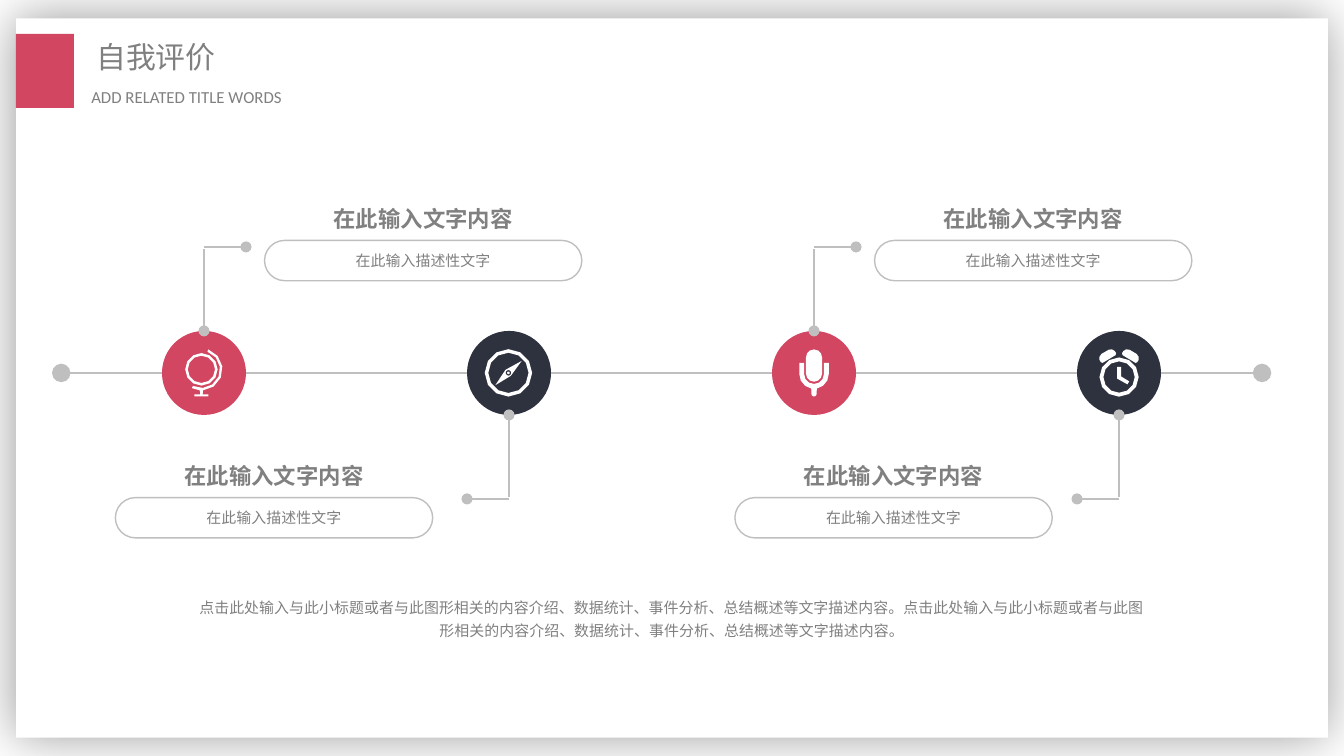
from dataclasses import dataclass
from math import cos, radians, sin

from lxml.etree import SubElement
from pptx import Presentation
from pptx.dml.color import RGBColor
from pptx.enum.shapes import MSO_CONNECTOR, MSO_SHAPE
from pptx.enum.text import MSO_ANCHOR, MSO_AUTO_SIZE, PP_ALIGN
from pptx.oxml.ns import qn
from pptx.util import Pt

RED, NAVY, GRAY, RULE, WHITE = "D24661", "2E323E", "808080", "BFBFBF", "FFFFFF"
CJK = "Noto Sans CJK SC"
RADIUS, AXIS_Y, FIRST_X, STEP = 22.5, 199.8, 109.3, 163.4
LABEL_WIDTH = 170
HEADING, DETAIL = "在此输入文字内容", "在此输入描述性文字"
SUMMARY = "点击此处输入与此小标题或者与此图形相关的内容介绍、数据统计、事件分析、总结概述等文字描述内容。"

Contour = list[tuple[float, float]]


@dataclass
class Milestone:
    """One stop on the axis; side is -1 above the axis and 1 below it."""
    x: float
    color: str
    side: int
    label_left: float
    icon: list[Contour]


def arc(x: float, y: float, r: float, start: float, end: float) -> Contour:
    """Sample an arc in steps of about 30 degrees, clockwise from the right."""
    steps = max(1, round(abs(end - start) / 30))
    angles = [radians(start + (end - start) * i / steps) for i in range(steps + 1)]
    return [(x + r * cos(a), y + r * sin(a)) for a in angles]


def circle(x: float, y: float, r: float, turn: int = 1) -> Contour:
    """Outline a circle; turn -1 winds it the other way, for a hole."""
    return arc(x, y, r, 0, turn * 360)[:-1]


def ring(x: float, y: float, outer: float, inner: float) -> list[Contour]:
    """Outline a ring."""
    return [circle(x, y, outer), circle(x, y, inner, -1)]


def globe() -> list[Contour]:
    """Outline a desk globe."""
    x, y = -1.4, -1.9
    stand = [(-0.7, 11.5), (2.4, 11.5), (2.4, 12.6), (-5.2, 12.6), (-5.2, 11.5), (-2.1, 11.5)]
    frame = arc(x, y, 11.3, -71, 86) + stand + arc(x, y, 11.3, 94, 117) + arc(x, y, 10, 117, -71)
    return ring(x, y, 8.7, 7.3) + [frame]


def compass() -> list[Contour]:
    """Outline a compass with its needle."""
    x = -0.3
    needle = [(6.8, -6.4), (1, 1.6), (-7.3, 6.6), (-1.9, -1.6)]
    return ring(x, 0, 12.7, 10.8) + [needle, circle(x, 0, 1.5, -1), circle(x, 0, 0.7)]


def microphone() -> list[Contour]:
    """Outline a microphone in its holder."""
    capsule = arc(0, -8.3, 4.3, 180, 360) + arc(0, 0.4, 4.3, 0, 180)
    holder = ([(-7.9, -5.4), (-5.3, -5.4)] + arc(0, 0.6, 5.3, 180, 0)
              + [(5.3, -5.4), (7.9, -5.4)] + arc(0, 0.6, 7.9, 0, 79)
              + arc(0, 11.2, 1.4, 0, 180) + arc(0, 0.6, 7.9, 101, 180))
    return [holder, capsule]


def alarm_clock() -> list[Contour]:
    """Outline an alarm clock with hands and two bells."""
    hands = [(-1.1, -3.2), (1.1, -3.2), (1.1, 1.9), (5.4, 4.5), (4.5, 6.1), (-1.1, 3)]
    bell = [(1.6, -10.6), (2.3, -11.7), (3.7, -12.6), (5.4, -12.5), (9.4, -10.2),
            (10.5, -8.6), (10.5, -7), (9.7, -5.7), (8.8, -5.4), (1.9, -9.5)]
    return ring(0, 2.2, 10.5, 8.4) + [hands, bell, [(-x, y) for x, y in bell]]


def rgb(color: str) -> RGBColor:
    """Turn a hex string into a colour."""
    return RGBColor.from_string(color)


def paint(shape, color: str) -> None:
    """Give a shape a plain fill without outline or shadow."""
    shape.shadow.inherit = False
    shape.fill.solid()
    shape.fill.fore_color.rgb = rgb(color)
    shape.line.fill.background()


def add_block(kind, left: float, top: float, width: float, height: float, color: str):
    """Draw a filled preset shape."""
    block = shapes.add_shape(kind, Pt(left), Pt(top), Pt(width), Pt(height))
    paint(block, color)
    return block


def add_line(x1: float, y1: float, x2: float, y2: float, end: str = "", size: str = "med") -> None:
    """Draw a thin line; end names the tip with a dot, headEnd or tailEnd."""
    line = shapes.add_connector(MSO_CONNECTOR.STRAIGHT, Pt(x1), Pt(y1), Pt(x2), Pt(y2))
    line.line.color.rgb = rgb(RULE)
    line.line.width = Pt(0.75)
    properties = line.line._get_or_add_ln()
    if end:
        SubElement(properties, qn("a:" + end), type="oval", w=size, len=size)
    SubElement(properties.getparent(), qn("a:effectLst"))


def write(shape, text: str, size: float, font: str = CJK, bold: bool = False,
          align=PP_ALIGN.CENTER, spacing: float = 1.0) -> None:
    """Fill a shape with one paragraph of gray text."""
    frame = shape.text_frame
    frame.word_wrap = True
    frame.margin_left = frame.margin_right = Pt(5.4)
    frame.margin_top = frame.margin_bottom = Pt(2.7)
    frame.text = text
    paragraph = frame.paragraphs[0]
    paragraph.alignment = align
    paragraph.line_spacing = spacing
    run = paragraph.runs[0]
    run.font.size, run.font.name, run.font.bold = Pt(size), font, bold
    run.font.color.rgb = rgb(GRAY)
    SubElement(run._r.get_or_add_rPr(), qn("a:ea"), typeface=font)


def add_text(left: float, top: float, width: float, height: float, text: str,
             size: float, **style) -> None:
    """Place a text box that grows with its text."""
    box = shapes.add_textbox(Pt(left), Pt(top), Pt(width), Pt(height))
    write(box, text, size, **style)
    box.text_frame.auto_size = MSO_AUTO_SIZE.SHAPE_TO_FIT_TEXT


def add_icon(x: float, y: float, contours: list[Contour]) -> None:
    """Draw a white icon centred on a point."""
    placed = [[(Pt(x + dx), Pt(y + dy)) for dx, dy in contour] for contour in contours]
    builder = shapes.build_freeform(*placed[0][0])
    for index, contour in enumerate(placed):
        if index:
            builder.move_to(*contour[0])
        builder.add_line_segments(contour[1:], close=True)
    paint(builder.convert_to_shape(), WHITE)


def add_stem(x: float, side: int) -> None:
    """Draw the bent line that leads from a disc to its label."""
    edge, bend = AXIS_Y + side * RADIUS, AXIS_Y + side * 3 * RADIUS
    add_line(x, edge, x, bend - side, "headEnd")
    add_line(x, bend, x - side * RADIUS, bend, "tailEnd")


def add_label(left: float, top: float) -> None:
    """Place a heading above its outlined pill."""
    add_text(left, top, LABEL_WIDTH, 20.2, HEADING, 12, bold=True)
    pill = shapes.add_shape(MSO_SHAPE.ROUNDED_RECTANGLE, Pt(left), Pt(top + 21.6),
                            Pt(LABEL_WIDTH), Pt(21.6))
    pill.adjustments[0] = 0.5
    pill.shadow.inherit = False
    pill.fill.background()
    pill.line.color.rgb = rgb(RULE)
    pill.line.width = Pt(0.75)
    write(pill, DETAIL, 8)
    pill.text_frame.vertical_anchor = MSO_ANCHOR.MIDDLE


deck = Presentation()
deck.slide_width, deck.slide_height = Pt(720), Pt(405)
shapes = deck.slides.add_slide(deck.slide_layouts[6]).shapes

card = add_block(MSO_SHAPE.RECTANGLE, 8.6, 9.8, 702.8, 385.4, WHITE)
glow = SubElement(card._element.spPr.find(qn("a:effectLst")), qn("a:outerShdw"),
                  blurRad=str(Pt(29)), dist="0", dir="0", algn="ctr", rotWithShape="0")
SubElement(SubElement(glow, qn("a:srgbClr"), val="000000"), qn("a:alpha"), val="40000")
add_block(MSO_SHAPE.RECTANGLE, 8.6, 18.2, 31, 39.6, RED)
add_text(46.2, 18, 144.7, 25, "自我评价", 16, align=PP_ALIGN.LEFT)
add_text(43.5, 43.9, 160.6, 16.6, "ADD RELATED TITLE WORDS", 9, font="Calibri",
         align=PP_ALIGN.JUSTIFY)

milestones = [
    Milestone(FIRST_X, RED, -1, 141.7, globe()),
    Milestone(FIRST_X + STEP, NAVY, 1, 61.8, compass()),
    Milestone(FIRST_X + 2 * STEP, RED, -1, 468.5, microphone()),
    Milestone(FIRST_X + 3 * STEP, NAVY, 1, 393.7, alarm_clock()),
]
for stop in milestones:
    add_block(MSO_SHAPE.OVAL, stop.x - RADIUS, AXIS_Y - RADIUS, 2 * RADIUS, 2 * RADIUS, stop.color)
add_line(32.8, AXIS_Y, milestones[0].x - RADIUS, AXIS_Y, "headEnd", "lg")
add_line(milestones[-1].x + RADIUS, AXIS_Y, 676.1, AXIS_Y, "tailEnd", "lg")
for stop, following in zip(milestones, milestones[1:]):
    add_line(stop.x + RADIUS, AXIS_Y, following.x - RADIUS, AXIS_Y)
upper_first = sorted(milestones, key=lambda stop: stop.side)
for stop in upper_first:
    add_stem(stop.x, stop.side)
for stop in milestones:
    add_icon(stop.x, AXIS_Y, stop.icon)
for stop in upper_first:
    add_label(stop.label_left, 107.2 if stop.side < 0 else 245)

add_text(99.4, 315.8, 521.3, 41.8, SUMMARY * 2, 8, spacing=1.25)
deck.save("out.pptx")
